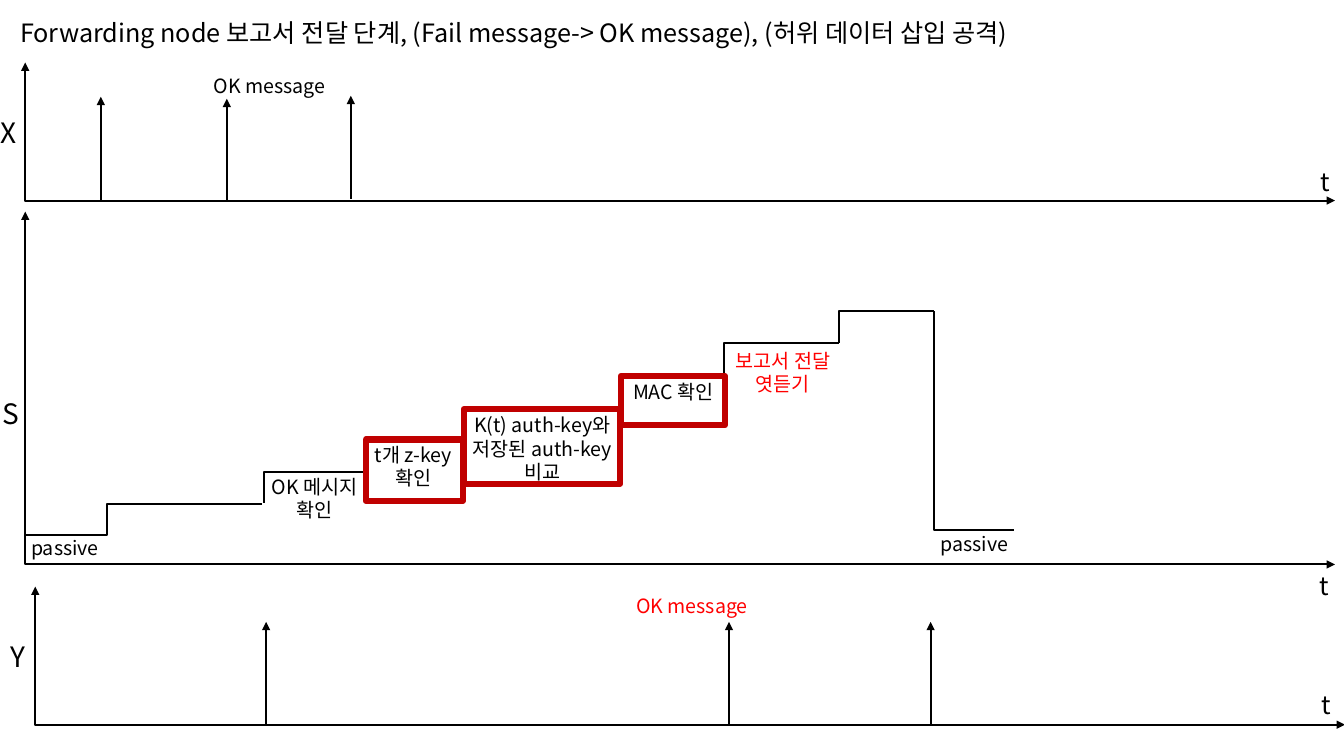
from dataclasses import dataclass

from lxml import etree
from pptx import Presentation
from pptx.dml.color import RGBColor
from pptx.enum import shapes, text
from pptx.oxml import ns
from pptx.util import Inches, Pt


@dataclass(frozen=True)
class Theme:
    font: str = "Noto Sans CJK KR"
    black: RGBColor = RGBColor(0, 0, 0)
    red: RGBColor = RGBColor(255, 0, 0)
    frame: RGBColor = RGBColor(192, 0, 0)
    title: int = 18
    axis_name: int = 20
    time: int = 18
    label: int = 14
    line: float = 1.5
    frame_line: float = 4.5


@dataclass(frozen=True)
class Axis:
    name: str
    name_at: tuple[float, float]
    time_at: tuple[float, float]
    origin: tuple[float, float]
    height: float


@dataclass(frozen=True)
class Pulse:
    x: float
    base: float


@dataclass(frozen=True)
class Step:
    left: float
    base: float
    right: float
    bend: float = 0


@dataclass(frozen=True)
class Label:
    wording: str
    left: float
    top: float
    width: float
    color: RGBColor = Theme.black
    centred: bool = False


@dataclass(frozen=True)
class Check:
    left: float
    top: float
    width: float
    height: float


THEME = Theme()
AXIS_LENGTH = 12.99
PULSE_HEIGHT = 1.02
RISE = 0.31
TITLE = "Forwarding node 보고서 전달 단계, (Fail message-> OK message), (허위 데이터 삽입 공격)"

AXES = [
    Axis("X", (-0.09, 1.1), (13, 1.6), (0.25, 1.99), 1.37),
    Axis("S", (-0.07, 3.88), (12.99, 5.61), (0.25, 5.6), 3.5),
    Axis("Y", (0.01, 6.3), (13.01, 6.79), (0.35, 7.19), 1.37),
]
PULSES = [Pulse(1, 1.98), Pulse(2.25, 2), Pulse(3.48, 1.97),
          Pulse(2.64, 7.19), Pulse(7.23, 7.19), Pulse(9.23, 7.19)]
STEPS = [
    Step(0.24, 5.31, 2.6, bend=0.348),
    Step(2.62, 4.99, 3.6),
    Step(3.61, 4.68, 4.59),
    Step(4.6, 4.37, 6.17),
    Step(6.16, 4.03, 7.18),
    Step(7.18, 3.71, 8.32),
    Step(8.32, 3.4, 9.26),
]
LABELS = [
    Label("OK message", 2.02, 0.68, 1.47),
    Label("passive", 0.21, 5.27, 1.25),
    Label("OK 메시지\n확인", 2.28, 4.66, 1.68, centred=True),
    Label("t개 z-key\n확인", 3.26, 4.34, 1.68, centred=True),
    Label("K(t) auth-key와\n저장된 auth-key\n비교", 3.9, 4.05, 2.96, centred=True),
    Label("MAC 확인", 6.18, 3.72, 1.09),
    Label("보고서 전달\n엿듣기", 7.14, 3.41, 1.25, THEME.red, centred=True),
    Label("passive", 9.23, 5.23, 1.25),
    Label("OK message", 6.21, 5.84, 1.35, THEME.red),
]
CHECKS = [Check(3.63, 4.36, 0.96, 0.61), Check(4.6, 4.06, 1.55, 0.74),
          Check(6.16, 3.73, 1.03, 0.49)]


def write(frame, wording: str, *, size: int, color: RGBColor = THEME.black,
          centred: bool = False) -> None:
    frame.word_wrap = True
    frame.auto_size = text.MSO_AUTO_SIZE.NONE
    frame.vertical_anchor = text.MSO_ANCHOR.TOP
    frame.text = wording
    for paragraph in frame.paragraphs:
        paragraph.alignment = text.PP_ALIGN.CENTER if centred else text.PP_ALIGN.LEFT
        for run in paragraph.runs:
            run.font.size = Pt(size)
            run.font.color.rgb = color
            run.font.name = THEME.font
            hangul = etree.SubElement(run.font._element, ns.qn("a:ea"))
            hangul.set("typeface", THEME.font)


def add_text(slide, wording: str, left: float, top: float, width: float,
             height: float, **style) -> None:
    box = slide.shapes.add_textbox(*map(Inches, (left, top, width, height)))
    write(box.text_frame, wording, **style)


def add_line(slide, start: tuple[float, float], end: tuple[float, float], *,
             bend: float | None = None, arrows: tuple[str, ...] = ()):
    """Draw a straight line, or an elbow turning at the share `bend` of its width."""
    kinds = shapes.MSO_CONNECTOR
    line = slide.shapes.add_connector(
        kinds.STRAIGHT if bend is None else kinds.ELBOW, *map(Inches, start + end))
    line.line.color.rgb = THEME.black
    line.line.width = Pt(THEME.line)
    properties = line._element.spPr
    if bend is not None:
        guides = properties.find(ns.qn("a:prstGeom")).get_or_add_avLst()
        etree.SubElement(guides, ns.qn("a:gd"), name="adj1",
                         fmla=f"val {round(bend * 100000)}")
    for arrow in arrows:
        etree.SubElement(line.line._get_or_add_ln(), ns.qn(f"a:{arrow}"), type="triangle")
    etree.SubElement(properties, ns.qn("a:effectLst"))
    return line


def add_drop(slide, start: tuple[float, float], end: tuple[float, float]) -> None:
    """Draw an elbow that goes down first, as a quarter turn of a sideways one."""
    (x1, y1), (x2, y2) = start, end
    middle_x, middle_y = (x1 + x2) / 2, (y1 + y2) / 2
    half_width, half_height = (x2 - x1) / 2, (y2 - y1) / 2
    drop = add_line(slide, (middle_x + half_height, middle_y - half_width),
                    (middle_x - half_height, middle_y + half_width), bend=1)
    drop._element.spPr.find(ns.qn("a:xfrm")).set("rot", str(270 * 60000))


def add_axis(slide, axis: Axis) -> None:
    x, y = axis.origin
    add_line(slide, (x, y - axis.height), (x + AXIS_LENGTH, y), bend=0,
             arrows=("headEnd", "tailEnd"))
    add_text(slide, axis.name, *axis.name_at, 0.45, 0.44, size=THEME.axis_name)
    add_text(slide, "t", *axis.time_at, 0.45, 0.4, size=THEME.time)


def add_check(slide, check: Check) -> None:
    frame = slide.shapes.add_shape(
        shapes.MSO_SHAPE.RECTANGLE,
        *map(Inches, (check.left, check.top, check.width, check.height)))
    frame.shadow.inherit = False
    frame.fill.background()
    frame.line.color.rgb = THEME.frame
    frame.line.width = Pt(THEME.frame_line)


def main() -> None:
    deck = Presentation()
    deck.slide_width, deck.slide_height = Inches(13.33), Inches(7.5)
    slide = deck.slides.add_slide(deck.slide_layouts.get_by_name("Title Only"))

    title = slide.shapes.title
    title.left, title.top = Inches(0.1), Inches(0.12)
    title.width, title.height = Inches(12.56), Inches(0.4)
    write(title.text_frame, TITLE, size=THEME.title)

    for axis in AXES:
        add_axis(slide, axis)
    for pulse in PULSES:
        add_line(slide, (pulse.x, pulse.base), (pulse.x, pulse.base - PULSE_HEIGHT),
                 arrows=("tailEnd",))
    for step in STEPS:
        add_line(slide, (step.left, step.base), (step.right, step.base - RISE),
                 bend=step.bend)
    add_drop(slide, (9.26, 3.09), (10.06, 5.26))
    for label in LABELS:
        height = 0.11 + 0.23 * len(label.wording.splitlines())
        add_text(slide, label.wording, label.left, label.top, label.width, height,
                 size=THEME.label, color=label.color, centred=label.centred)
    for check in CHECKS:
        add_check(slide, check)
    deck.save("out.pptx")


if __name__ == "__main__":
    main()
